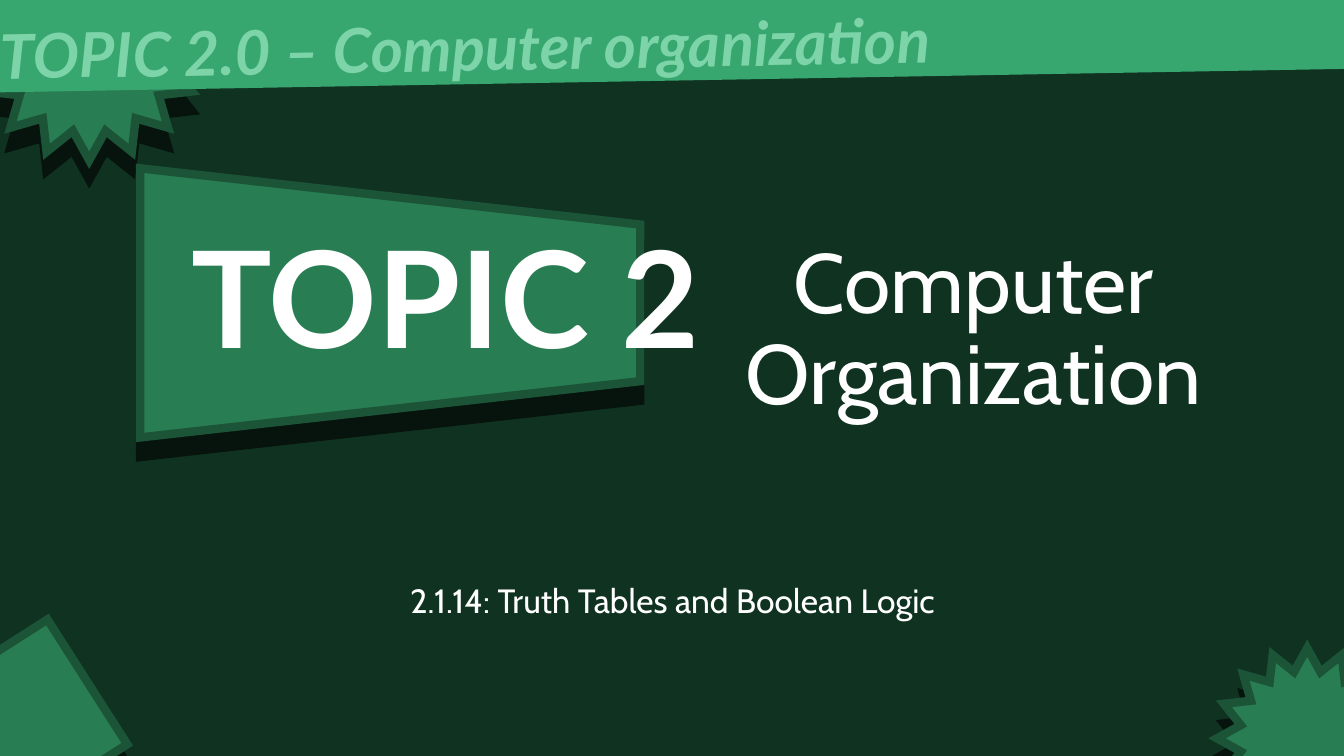
from lxml import etree
from pptx import Presentation
from pptx.dml.color import RGBColor
from pptx.enum import shapes, text
from pptx.oxml import ns
from pptx.util import Inches, Pt

HUES = {
    "back": "103221",
    "leaf": "297D53",
    "edge": "1C5438",
    "shade": "06140D",
    "band": "37A76F",
    "mint": "7DD4A9",
    "white": "FFFFFF",
}
KIND = shapes.MSO_SHAPE
CENTER = text.PP_ALIGN.CENTER


def hue(name):
    return RGBColor.from_string(HUES[name])


def child(node, tag, **attrs):
    return etree.SubElement(node, ns.qn(tag), attrs)


def block(slide, kind, box, fill, turn=0):
    shape = slide.shapes.add_shape(kind, *map(Inches, box))
    shape.rotation = turn
    shape.shadow.inherit = False
    shape.fill.solid()
    shape.fill.fore_color.rgb = hue(fill)
    shape.line.fill.background()
    return shape


def badge(slide, kind, box, turn=0):
    shape = block(slide, kind, box, "leaf", turn)
    shape.line.color.rgb = hue("edge")
    shape.line.width = Pt(6)
    props = shape._element.spPr
    child(props.find(ns.qn("a:ln")), "a:miter", lim="800000")
    drop = child(props.find(ns.qn("a:effectLst")), "a:outerShdw", blurRad="0",
                 dist=str(Pt(14)), dir="5400000", algn="t", rotWithShape="0")
    child(drop, "a:srgbClr", val=HUES["shade"])
    return shape


def write(shape, words, size, face, color="white", align=CENTER, bold=False):
    frame = shape.text_frame
    frame.word_wrap = True
    frame.text = words
    para = frame.paragraphs[0]
    para.alignment = align
    font = para.font
    font.name, font.size, font.bold = face, Pt(size), bold
    font.color.rgb = hue(color)
    return para


def label(slide, box, *args, **style):
    return write(slide.shapes.add_textbox(*map(Inches, box)), *args, **style)


def corners(slide):
    badge(slide, KIND.STAR_16_POINT, (-0.22, -0.62, 2.21, 2.21))
    badge(slide, KIND.RECTANGLE, (-0.57, 6.45, 1.56, 1.47), 327.4)
    badge(slide, KIND.STAR_16_POINT, (12.07, 6.43, 1.79, 1.79))


def heading(slide, box):
    title = slide.shapes.title
    title.left, title.top, title.width, title.height = map(Inches, box)
    para = write(title, "Computer Organization", 60, "Cabin")
    para.line_spacing = 0.9
    title.text_frame.vertical_anchor = text.MSO_ANCHOR.BOTTOM


def lesson(slide, box):
    para = label(slide, box, "2.1.14: Truth Tables and Boolean Logic", 24, "Cabin")
    para.line_spacing = 0.9


def banner(slide, box):
    left, top, wide, high = box
    block(slide, KIND.RECTANGLE, box, "band", 359)
    field = slide.shapes.add_textbox(
        *map(Inches, (left + 0.12, top + 0.67, wide + 2.01, high - 0.64)))
    field.rotation = 359
    para = write(field, "TOPIC 2.0 – Computer organization", 44, "Lato", "mint",
                 text.PP_ALIGN.LEFT, True)
    para.font.italic = True


def topic(slide, box):
    left, top, wide, high = box
    shift = (wide - high) / 2
    plate = badge(slide, KIND.TRAPEZOID, (left + shift, top - shift, high, wide), 90)
    plate.adjustments[0] = 0.209
    label(slide, (left - 0.52, top + 0.4, wide + 2.14, 1.72), "TOPIC 2", 96, "Lato",
          bold=True)


def main():
    deck = Presentation()
    deck.slide_width, deck.slide_height = Inches(13.33), Inches(7.5)
    slide = deck.slides.add_slide(deck.slide_layouts[5])
    slide.background.fill.solid()
    slide.background.fill.fore_color.rgb = hue("back")
    corners(slide)
    heading(slide, (6.48, 1.15, 6.35, 3.09))
    lesson(slide, (1.67, 5.75, 10, 0.78))
    banner(slide, (-0.22, -0.68, 13.86, 1.48))
    topic(slide, (1.39, 1.67, 4.96, 2.67))
    deck.save("out.pptx")


if __name__ == "__main__":
    main()
